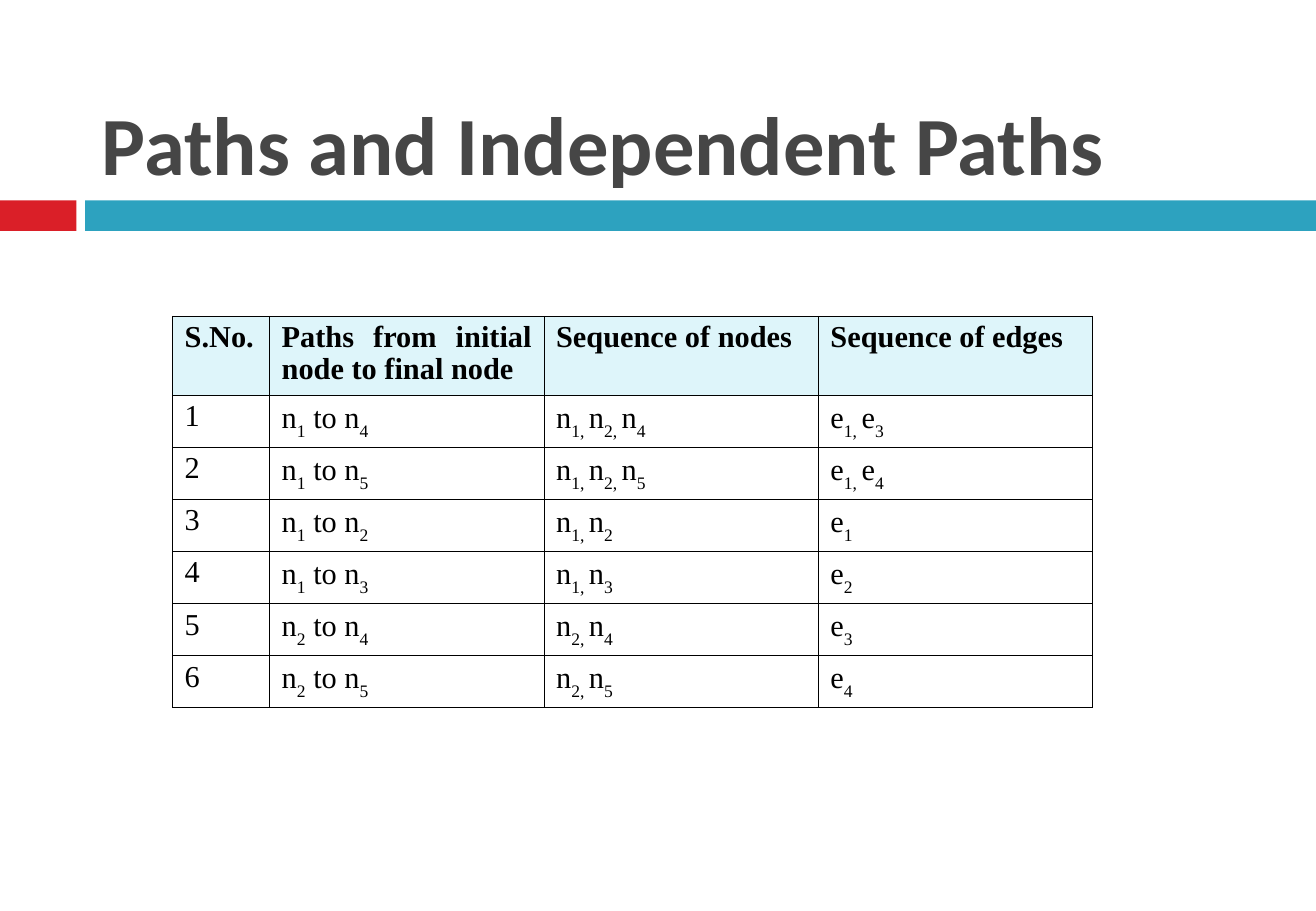
"""Build the slide that tabulates paths and independent paths."""
from dataclasses import dataclass

from lxml.etree import SubElement as Sub
from pptx import Presentation
from pptx.dml.color import RGBColor as RGB
from pptx.enum.shapes import MSO_SHAPE as Shape
from pptx.enum.text import MSO_ANCHOR as Anchor, MSO_AUTO_SIZE as Fit, PP_ALIGN as Align
from pptx.oxml.ns import qn
from pptx.util import Cm, Pt

TITLE = "Paths and Independent Paths"
HEADS = ["S.No.", "Paths from initial node to final node",
         "Sequence of nodes", "Sequence of edges"]
PATHS = [
    ((1, 2, 4), (1, 3)),
    ((1, 2, 5), (1, 4)),
    ((1, 2), (1,)),
    ((1, 3), (2,)),
    ((2, 4), (3,)),
    ((2, 5), (4,)),
]


@dataclass(frozen=True)
class Theme:
    """Colours, fonts and type sizes."""
    red: str = "DA1F28"
    blue: str = "2DA2BF"
    pale: str = "DEF5FA"
    grey: str = "464646"
    black: str = "000000"
    sans: str = "Calibri"
    serif: str = "Times New Roman"
    big: float = 49
    text: float = 18
    rule: float = 0.45


LOOK = Theme()
WIDE, HIGH = 27.53, 19.05
BAR_TOP, BAR_HIGH = 4.19, 0.64
BARS = [(0, 1.6, LOOK.red), (1.78, WIDE - 1.78, LOOK.blue)]
LEFT, TOP = 3.61, 6.61
COLS = [2.03] + [5.74] * 3
ROWS = [1.65] + [1.09] * len(PATHS)


def add_run(para, text, face, size, tint, bold=False, low=False):
    """Add one formatted run, lowered when it is a subscript."""
    run = para.add_run()
    run.text = text
    font = run.font
    font.name, font.size, font.bold = face, Pt(size), bold
    font.color.rgb = RGB.from_string(tint)
    if low:
        run._r.get_or_add_rPr().set("baseline", "-30000")


def chain(name, nums):
    """Return the parts of a comma list of indexed names."""
    parts = []
    for pos, num in enumerate(nums, 1):
        tail = ", " if pos < len(nums) else ""
        parts += [(name, False), (f"{num}{tail}", True)]
    return parts


def span(nodes):
    """Return the parts that name the ends of a path."""
    return [("n", False), (str(nodes[0]), True),
            (" to n", False), (str(nodes[-1]), True)]


def add_rules(cell):
    """Draw a thin line on each side of a cell."""
    props = cell._tc.get_or_add_tcPr()
    for side in ("lnL", "lnR", "lnT", "lnB"):
        line = Sub(props, qn(f"a:{side}"), w=str(int(Pt(LOOK.rule))))
        fill = Sub(line, qn("a:solidFill"))
        Sub(fill, qn("a:srgbClr"), val=LOOK.black)


def add_bars(slide):
    """Draw the two bars below the title."""
    for left, width, tint in BARS:
        bar = slide.shapes.add_shape(
            Shape.RECTANGLE, Cm(left), Cm(BAR_TOP), Cm(width), Cm(BAR_HIGH))
        bar.shadow.inherit = False
        bar.fill.solid()
        bar.fill.fore_color.rgb = RGB.from_string(tint)
        bar.line.fill.background()


def set_title(slide):
    """Place and fill the title."""
    title = slide.shapes.title
    title.left, title.top = Cm(1.83), Cm(0.43)
    title.width, title.height = Cm(24.54), Cm(3.73)
    frame = title.text_frame
    frame.word_wrap, frame.auto_size = True, Fit.NONE
    frame.vertical_anchor = Anchor.BOTTOM
    frame.margin_left = frame.margin_right = Cm(0.3)
    frame.margin_top = frame.margin_bottom = Cm(0.15)
    para = frame.paragraphs[0]
    para.alignment = Align.LEFT
    add_run(para, TITLE, LOOK.sans, LOOK.big, LOOK.grey, bold=True)


def add_grid(slide):
    """Add the table of paths."""
    lines = [[[(head, False)] for head in HEADS]]
    for num, (nodes, edges) in enumerate(PATHS, 1):
        lines.append([[(str(num), False)], span(nodes),
                      chain("n", nodes), chain("e", edges)])
    grid = slide.shapes.add_table(
        len(ROWS), len(COLS), Cm(LEFT), Cm(TOP), Cm(sum(COLS)), Cm(sum(ROWS))).table
    grid.first_row = grid.horz_banding = False
    for col, width in zip(grid.columns, COLS):
        col.width = Cm(width)
    for row, height in zip(grid.rows, ROWS):
        row.height = Cm(height)
    for i, line in enumerate(lines):
        for j, parts in enumerate(line):
            cell = grid.cell(i, j)
            add_rules(cell)
            if i == 0:
                cell.fill.solid()
                cell.fill.fore_color.rgb = RGB.from_string(LOOK.pale)
            else:
                cell.fill.background()
            para = cell.text_frame.paragraphs[0]
            para.alignment = Align.LEFT if j == 1 and i > 1 else Align.JUSTIFY
            para.line_spacing = 0.95
            for text, low in parts:
                add_run(para, text, LOOK.serif, LOOK.text, LOOK.black,
                        bold=i == 0, low=low)


def main():
    """Build and save the slide."""
    deck = Presentation()
    deck.slide_width, deck.slide_height = Cm(WIDE), Cm(HIGH)
    slide = deck.slides.add_slide(deck.slide_layouts.get_by_name("Title Only"))
    add_bars(slide)
    set_title(slide)
    add_grid(slide)
    deck.save("out.pptx")


if __name__ == "__main__":
    main()
